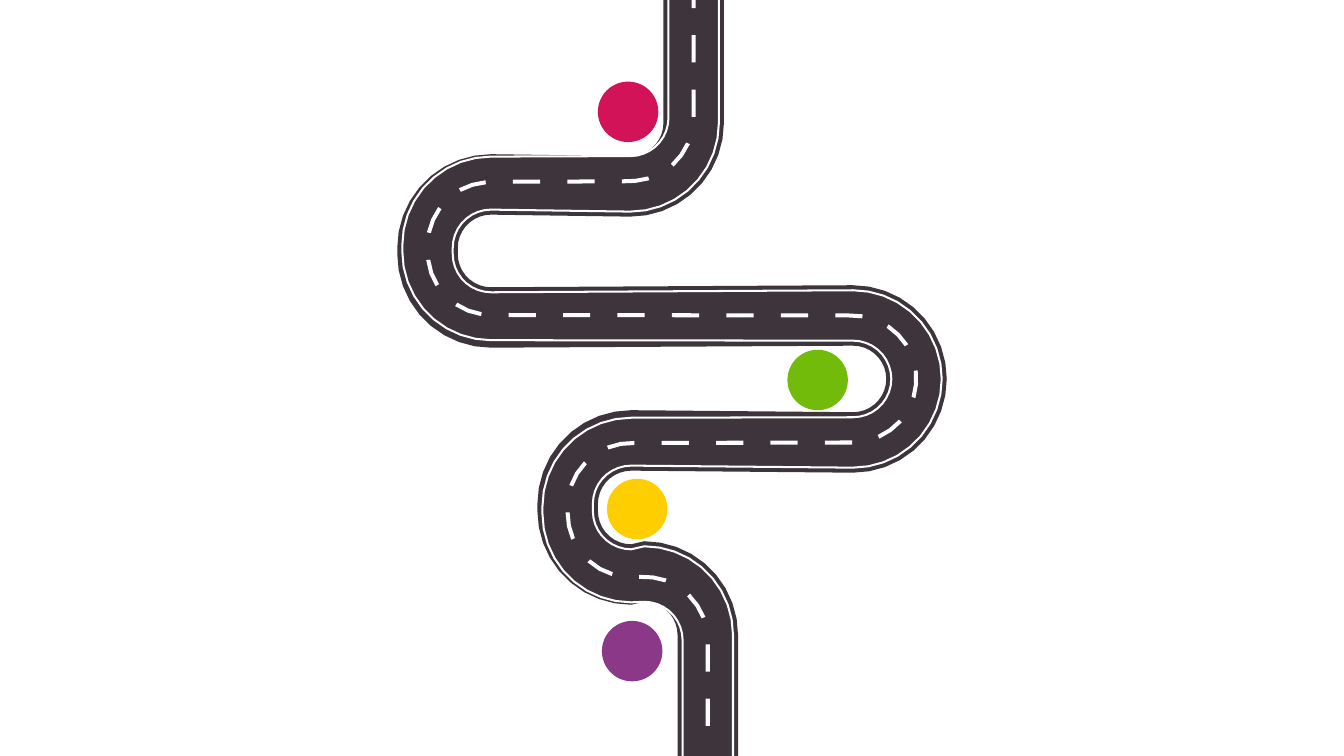
from itertools import accumulate, pairwise
from math import cos, dist, radians, sin

from pptx import Presentation
from pptx.dml.color import RGBColor
from pptx.enum.shapes import MSO_SHAPE
from pptx.util import Inches

OVAL = MSO_SHAPE.OVAL
WHITE = RGBColor(0xFF, 0xFF, 0xFF)
ASPHALT = RGBColor(0x3D, 0x35, 0x3B)
PINK = RGBColor(0xD2, 0x13, 0x58)
GREEN = RGBColor(0x72, 0xBB, 0x0A)
PURPLE = RGBColor(0x8B, 0x38, 0x88)
YELLOW = RGBColor(0xFF, 0xCE, 0x00)

SLIDE_HEIGHT = 7.5
MIDDLE_Y = 3.76
BEND_RADIUS = 0.63
BEND_STEP = 10
ROAD_HALF_WIDTH = 0.3
EDGE_LINE_OFFSET = 0.25
EDGE_LINE_WIDTH = 0.02
DASH_HALF_WIDTH = 0.02
DASH_LENGTH = 0.27
DASH_PERIOD = 0.54
FIRST_DASH = 0.35
MARKING_STRETCH = 1.02
MARKER_SIZE = 0.6

# Bend centre x and y, then start and end angle in degrees
BENDS = [
    (6.25, 1.22, 0, 90),
    (4.87, 2.46, 270, 180),
    (4.87, 2.52, 180, 90),
    (8.46, 3.76, -90, 90),
    (6.26, 5.0, 270, 180),
    (6.26, 5.07, 180, 90),
    (6.39, 6.3, -90, 0),
]
# Centre x, centre y and colour
MARKERS = [
    (6.23, 1.11, PINK),
    (8.11, 3.77, GREEN),
    (6.27, 6.46, PURPLE),
    (6.32, 5.05, YELLOW),
]


def centre_line(stretch):
    """Return (x, y, normal x, normal y) along the road, stretched about its middle."""
    line = [(BENDS[0][0] + BEND_RADIUS, 0, -1, 0)]
    for centre_x, centre_y, start, end in BENDS:
        centre_y = MIDDLE_Y + (centre_y - MIDDLE_Y) * stretch
        side = -1 if end > start else 1
        step = -side * BEND_STEP
        for degrees in range(start, end + step, step):
            across, down = cos(radians(degrees)), sin(radians(degrees))
            line.append((centre_x + BEND_RADIUS * across,
                         centre_y + BEND_RADIUS * down,
                         side * across, side * down))
    line.append((BENDS[-1][0] + BEND_RADIUS, SLIDE_HEIGHT, -1, 0))
    return line


def beside(line, offset):
    """Return the points that lie at an offset to the side of a line."""
    return [(Inches(x + offset * normal_x), Inches(y + offset * normal_y))
            for x, y, normal_x, normal_y in line]


deck = Presentation()
deck.slide_width = Inches(13.33)
deck.slide_height = Inches(SLIDE_HEIGHT)
page = deck.slides.add_slide(deck.slide_layouts[6])

road_line = centre_line(1)
marking_line = centre_line(MARKING_STRETCH)

# Cut the dashes at equal distances along the marking line
distances = list(accumulate(
    (dist(a[:2], b[:2]) for a, b in pairwise(marking_line)), initial=0))
dashes = []
dash_start = FIRST_DASH - DASH_PERIOD
while dash_start + DASH_LENGTH < distances[-1]:
    dash = []
    for part in (0, 0.5, 1):
        target = max(0, dash_start + DASH_LENGTH * part)
        index = max(i for i, d in enumerate(distances[:-1]) if d <= target)
        before, after = marking_line[index:index + 2]
        share = (target - distances[index]) / (distances[index + 1] - distances[index])
        dash.append([a + (b - a) * share for a, b in zip(before, after)])
    dashes.append(dash)
    dash_start += DASH_PERIOD

for strips, half_width, colour in [([road_line], ROAD_HALF_WIDTH, ASPHALT),
                                   (dashes, DASH_HALF_WIDTH, WHITE)]:
    outlines = [beside(strip, half_width) + beside(strip, -half_width)[::-1]
                for strip in strips]
    builder = page.shapes.build_freeform(*outlines[0][0])
    for outline in outlines:
        if outline is not outlines[0]:
            builder.move_to(*outline[0])
        builder.add_line_segments(outline[1:], close=True)
    surface = builder.convert_to_shape()
    surface.shadow.inherit = False
    surface.fill.solid()
    surface.fill.fore_color.rgb = colour
    surface.line.fill.background()

for line, offset in [(road_line, -EDGE_LINE_OFFSET), (marking_line, EDGE_LINE_OFFSET)]:
    points = beside(line, offset)
    builder = page.shapes.build_freeform(*points[0])
    builder.add_line_segments(points[1:], close=False)
    edge_line = builder.convert_to_shape()
    edge_line.shadow.inherit = False
    edge_line.fill.background()
    edge_line.line.color.rgb = WHITE
    edge_line.line.width = Inches(EDGE_LINE_WIDTH)

for centre_x, centre_y, colour in MARKERS:
    marker = page.shapes.add_shape(
        OVAL, Inches(centre_x - MARKER_SIZE / 2), Inches(centre_y - MARKER_SIZE / 2),
        Inches(MARKER_SIZE), Inches(MARKER_SIZE))
    marker.shadow.inherit = False
    marker.fill.solid()
    marker.fill.fore_color.rgb = colour
    marker.line.fill.background()

deck.save("out.pptx")
